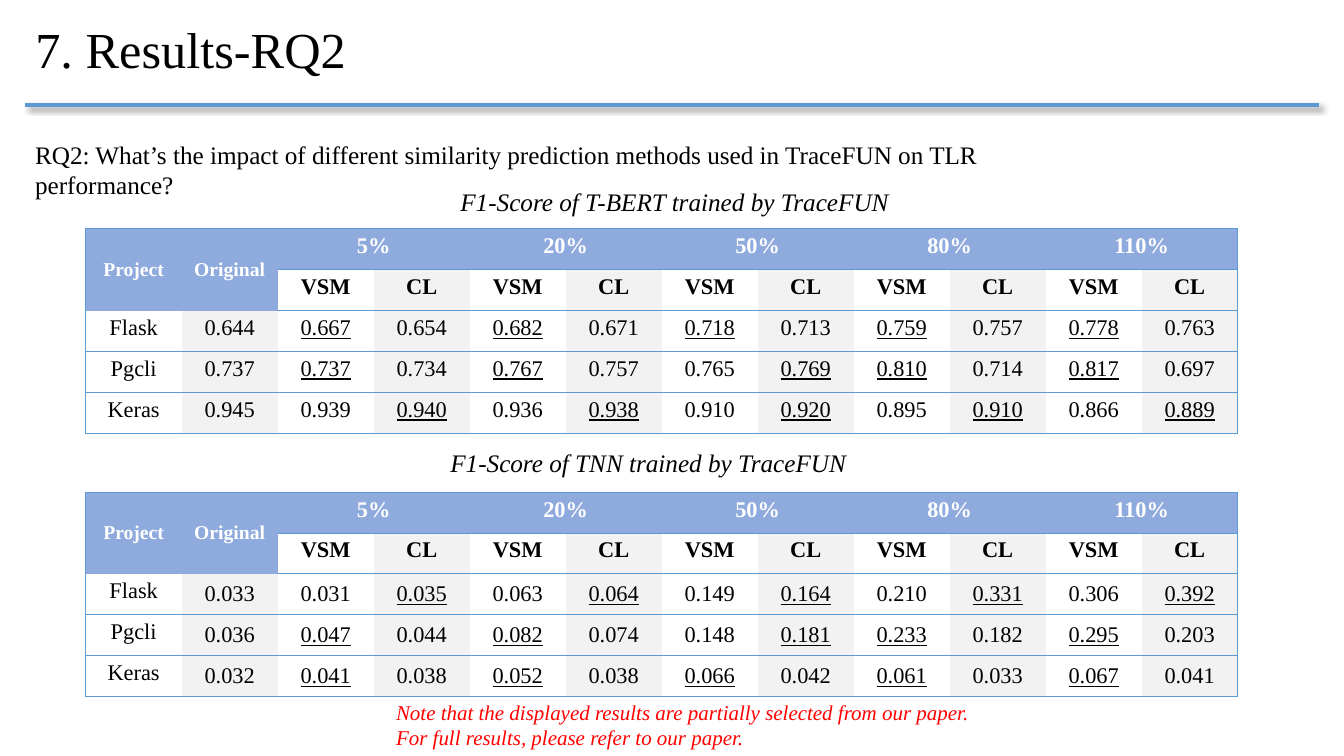
from lxml import etree
from pptx import Presentation
from pptx.dml.color import RGBColor
from pptx.enum.shapes import MSO_CONNECTOR
from pptx.enum.text import MSO_ANCHOR, MSO_AUTO_SIZE, PP_ALIGN
from pptx.oxml import parse_xml
from pptx.oxml.ns import nsdecls, qn
from pptx.util import Pt

FONT = "Times New Roman"
BLACK = RGBColor(0x00, 0x00, 0x00)
WHITE = RGBColor(0xFF, 0xFF, 0xFF)
RED = RGBColor(0xFF, 0x00, 0x00)
LINE_BLUE = RGBColor(0x5B, 0x9B, 0xD5)
HEADER_BLUE = RGBColor(0x8F, 0xAA, 0xDC)
LIGHT_GRAY = RGBColor(0xF2, 0xF2, 0xF2)

TABLE_LEFT, COLUMN_WIDTH, ROW_HEIGHT = 61.2, 68.58, 29.25
SHARES = ["5%", "20%", "50%", "80%", "110%"]
COLUMNS = 2 + 2 * len(SHARES)

# Project, original score, then a VSM and a CL score for each share
TBERT_SCORES = [
    "Flask 0.644 0.667 0.654 0.682 0.671 0.718 0.713 0.759 0.757 0.778 0.763",
    "Pgcli 0.737 0.737 0.734 0.767 0.757 0.765 0.769 0.810 0.714 0.817 0.697",
    "Keras 0.945 0.939 0.940 0.936 0.938 0.910 0.920 0.895 0.910 0.866 0.889",
]
TNN_SCORES = [
    "Flask 0.033 0.031 0.035 0.063 0.064 0.149 0.164 0.210 0.331 0.306 0.392",
    "Pgcli 0.036 0.047 0.044 0.082 0.074 0.148 0.181 0.233 0.182 0.295 0.203",
    "Keras 0.032 0.041 0.038 0.052 0.038 0.066 0.042 0.061 0.033 0.067 0.041",
]


def set_font(paragraph, size, color=BLACK, bold=False, italic=False):
    font = paragraph.font
    font.name, font.size = FONT, Pt(size)
    font.bold, font.italic = bold, italic
    font.color.rgb = color


def add_title(slide, text):
    title = slide.shapes.title
    title.left, title.top, title.width, title.height = Pt(18), Pt(0), Pt(924.5), Pt(75)
    frame = title.text_frame
    frame.text = text
    frame.auto_size = MSO_AUTO_SIZE.NONE
    frame.vertical_anchor = MSO_ANCHOR.MIDDLE
    paragraph = frame.paragraphs[0]
    paragraph.alignment = PP_ALIGN.LEFT
    paragraph.line_spacing = 0.9
    set_font(paragraph, 36)


def add_title_rule(slide):
    rule = slide.shapes.add_connector(
        MSO_CONNECTOR.STRAIGHT, Pt(18), Pt(75), Pt(942), Pt(75))
    rule.line.color.rgb = LINE_BLUE
    rule.line.width = Pt(3)
    properties = rule._element.spPr
    properties.append(parse_xml(
        f'<a:effectLst {nsdecls("a")}><a:outerShdw blurRad="{Pt(4)}" dist="{Pt(3)}" '
        'dir="2700000" algn="tl" rotWithShape="0"><a:srgbClr val="000000">'
        '<a:alpha val="40000"/></a:srgbClr></a:outerShdw></a:effectLst>'))


def add_text(slide, left, top, width, height, lines, size, wrap=True, **style):
    box = slide.shapes.add_textbox(Pt(left), Pt(top), Pt(width), Pt(height))
    frame = box.text_frame
    frame.word_wrap = wrap
    frame.text = "\n".join(lines)
    for paragraph in frame.paragraphs:
        set_font(paragraph, size, **style)


def set_borders(cell, visible_sides):
    properties = cell._tc.get_or_add_tcPr()
    for side in "LRTB":
        line = etree.SubElement(properties, qn(f"a:ln{side}"), w=str(Pt(0.5)))
        if side in visible_sides:
            fill = etree.SubElement(line, qn("a:solidFill"))
            etree.SubElement(fill, qn("a:srgbClr"), val=str(LINE_BLUE))
        else:
            etree.SubElement(line, qn("a:noFill"))


def outer_sides(row, column, last_row, last_column):
    sides = ""
    if row != 1 and (row != 2 or column > 1) or row == 1 and column > 1:
        sides += "T"
    if row == last_row or row > 1 or column > 1:
        sides += "B"
    if column == 0:
        sides += "L"
    if last_column == COLUMNS - 1:
        sides += "R"
    if row < 2 and column < 2:
        sides = sides.replace("B", "")
    return sides


def write_cell(cell, text, size=16, middle=False, underline=False, **style):
    cell.text = text
    cell.vertical_anchor = MSO_ANCHOR.MIDDLE if middle else MSO_ANCHOR.TOP
    paragraph = cell.text_frame.paragraphs[0]
    paragraph.alignment = PP_ALIGN.CENTER
    set_font(paragraph, size, **style)
    if underline:
        paragraph.font.underline = True


def add_score_table(slide, top, score_lines, middle_scores):
    row_count = 2 + len(score_lines)
    table = slide.shapes.add_table(
        row_count, COLUMNS, Pt(TABLE_LEFT), Pt(top),
        Pt(COLUMN_WIDTH * COLUMNS), Pt(ROW_HEIGHT * row_count)).table
    for column in table.columns:
        column.width = Pt(COLUMN_WIDTH)
    for row in table.rows:
        row.height = Pt(ROW_HEIGHT)

    # Header merges
    for column in (0, 1):
        table.cell(0, column).merge(table.cell(1, column))
    for column in range(2, COLUMNS, 2):
        table.cell(0, column).merge(table.cell(0, column + 1))

    # Borders and fills
    for row in range(row_count):
        for column in range(COLUMNS):
            cell = table.cell(row, column)
            last_column = column + cell.span_width - 1
            set_borders(cell, outer_sides(row, column, row_count - 1, last_column))
            cell.fill.solid()
            if row == 0 or row == 1 and column < 2:
                cell.fill.fore_color.rgb = HEADER_BLUE
            else:
                cell.fill.fore_color.rgb = LIGHT_GRAY if column % 2 else WHITE

    # Header text
    for column, label in enumerate(["Project", "Original"]):
        write_cell(table.cell(0, column), label, 14, middle=True, color=WHITE, bold=True)
    for index, share in enumerate(SHARES):
        column = 2 + 2 * index
        write_cell(table.cell(0, column), share, color=WHITE, bold=True)
        write_cell(table.cell(1, column), "VSM", bold=True)
        write_cell(table.cell(1, column + 1), "CL", bold=True)

    # Scores, with the better method of each pair underlined
    for row, score_line in enumerate(score_lines, start=2):
        values = score_line.split()
        for column, value in enumerate(values):
            pair_start = column - column % 2
            best = column > 1 and value == max(values[pair_start:pair_start + 2])
            write_cell(table.cell(row, column), value,
                       middle=middle_scores and column > 0, underline=best)


def main():
    presentation = Presentation()
    presentation.slide_width, presentation.slide_height = Pt(960), Pt(540)
    slide = presentation.slides.add_slide(presentation.slide_layouts[5])

    # Heading and research question
    add_title_rule(slide)
    add_title(slide, "7. Results-RQ2")
    add_text(slide, 18, 95.8, 780.5, 51, [
        "RQ2: What’s the impact of different similarity prediction methods "
        "used in TraceFUN on TLR performance?"], 18)

    # Score tables with captions
    add_score_table(slide, 163.4, TBERT_SCORES, middle_scores=False)
    add_text(slide, 321.8, 129.6, 324, 29, ["F1-Score of T-BERT trained by TraceFUN"],
             18, wrap=False, italic=True)
    add_score_table(slide, 351.4, TNN_SCORES, middle_scores=True)
    add_text(slide, 314.6, 316.1, 300, 29, ["F1-Score of TNN trained by TraceFUN"],
             18, wrap=False, italic=True)

    # Closing note
    add_text(slide, 275.8, 496.1, 426, 44, [
        "Note that the displayed results are partially selected from our paper.",
        "For full results, please refer to our paper."], 15, color=RED, italic=True)

    presentation.save("out.pptx")


if __name__ == "__main__":
    main()
